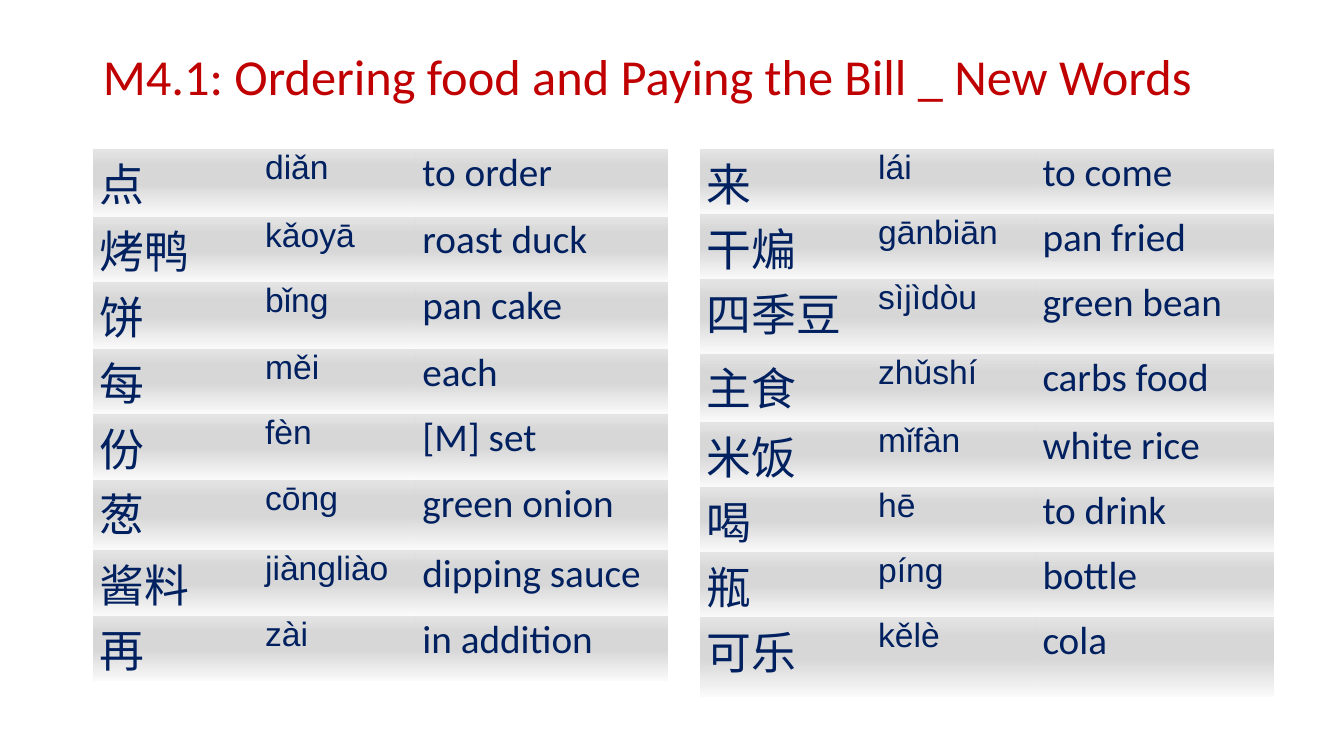
from lxml import etree
from pptx import Presentation
from pptx.dml.color import RGBColor
from pptx.enum.text import MSO_ANCHOR, MSO_AUTO_SIZE, PP_ALIGN
from pptx.oxml.ns import qn
from pptx.util import Inches, Pt

RED, NAVY = "C00000", "002060"
ROW_GRADIENT = [(0, "FAFAFA"), (49, "D7D7D7"), (74, "D7D7D7"), (100, "E4E4E4")]
PLAIN_TABLE = "{2D5ABB26-0587-4C30-8999-92F81FD0307C}"
TITLE_ONLY = 5

# Font and size of the Chinese, pinyin and English columns
COLUMN_FORMATS = [("Calibri", 32), ("Arial", 24), ("Calibri", 28)]

ORDER_WORDS = [
    ("点", "diǎn", "to order"),
    ("烤鸭", "kǎoyā", "roast duck"),
    ("饼", "bǐng", "pan cake"),
    ("每", "měi", "each"),
    ("份", "fèn", "[M] set"),
    ("葱", "cōng", "green onion"),
    ("酱料", "jiàngliào", "dipping sauce"),
    ("再", "zài", "in addition"),
]
MEAL_WORDS = [
    ("来", "lái", "to come"),
    ("干煸", "gānbiān", "pan fried"),
    ("四季豆", "sìjìdòu", "green bean"),
    ("主食", "zhǔshí", "carbs food"),
    ("米饭", "mǐfàn", "white rice"),
    ("喝", "hē", "to drink"),
    ("瓶", "píng", "bottle"),
    ("可乐", "kělè", "cola"),
]


def color(hex_code):
    return RGBColor.from_string(hex_code)


def write(frame, text, font="Calibri", size=28, ink=NAVY, spacing=None):
    paragraph = frame.paragraphs[0]
    paragraph.alignment = PP_ALIGN.LEFT
    if spacing:
        paragraph.line_spacing = spacing
    run = paragraph.add_run()
    run.text = text
    run.font.name, run.font.size = font, Pt(size)
    run.font.color.rgb = color(ink)


def shade(cell):
    """Fill a cell with the grey gradient, running from bottom to top."""
    gradient = etree.SubElement(cell._tc.get_or_add_tcPr(), qn("a:gradFill"))
    stops = etree.SubElement(gradient, qn("a:gsLst"))
    for position, hex_code in ROW_GRADIENT:
        stop = etree.SubElement(stops, qn("a:gs"), pos=str(position * 1000))
        etree.SubElement(stop, qn("a:srgbClr"), val=hex_code)
    etree.SubElement(gradient, qn("a:lin"), ang="16200000", scaled="0")


class VocabularySlide:
    def __init__(self, deck):
        self.slide = deck.slides.add_slide(deck.slide_layouts[TITLE_ONLY])

    def title(self, text, left, top, width, height):
        heading = self.slide.shapes.title
        heading.left, heading.top = Inches(left), Inches(top)
        heading.width, heading.height = Inches(width), Inches(height)
        frame = heading.text_frame
        frame.auto_size = MSO_AUTO_SIZE.NONE
        frame.vertical_anchor = MSO_ANCHOR.MIDDLE
        write(frame, text, size=36, ink=RED, spacing=0.9)

    def word_table(self, words, left, top, widths, heights):
        table = self.slide.shapes.add_table(
            len(words), len(widths), Inches(left), Inches(top),
            Inches(sum(widths)), Inches(sum(heights))).table
        table.first_row = table.horz_banding = False
        table._tbl.tblPr.find(qn("a:tableStyleId")).text = PLAIN_TABLE
        for column, width in zip(table.columns, widths):
            column.width = Inches(width)
        for row, height, entry in zip(table.rows, heights, words):
            row.height = Inches(height)
            for cell, text, (font, size) in zip(row.cells, entry, COLUMN_FORMATS):
                cell.margin_left = cell.margin_right = Inches(0.07)
                cell.margin_top = cell.margin_bottom = 0
                write(cell.text_frame, text, font=font, size=size)
                shade(cell)


def main():
    deck = Presentation()
    deck.slide_width, deck.slide_height = Inches(13.33), Inches(7.5)
    page = VocabularySlide(deck)

    # Heading
    page.title("M4.1: Ordering food and Paying the Bill _ New Words",
               0.92, 0.4, 11.5, 0.77)

    # Two word lists side by side
    page.word_table(ORDER_WORDS, 0.92, 1.48, [1.64, 1.56, 2.51],
                    [0.67, 0.65, 0.66, 0.65, 0.65, 0.7, 0.65, 0.65])
    page.word_table(MEAL_WORDS, 6.94, 1.48, [1.7, 1.63, 2.37],
                    [0.61, 0.61, 0.74, 0.68, 0.61, 0.61, 0.61, 0.79])

    deck.save("out.pptx")


if __name__ == "__main__":
    main()
